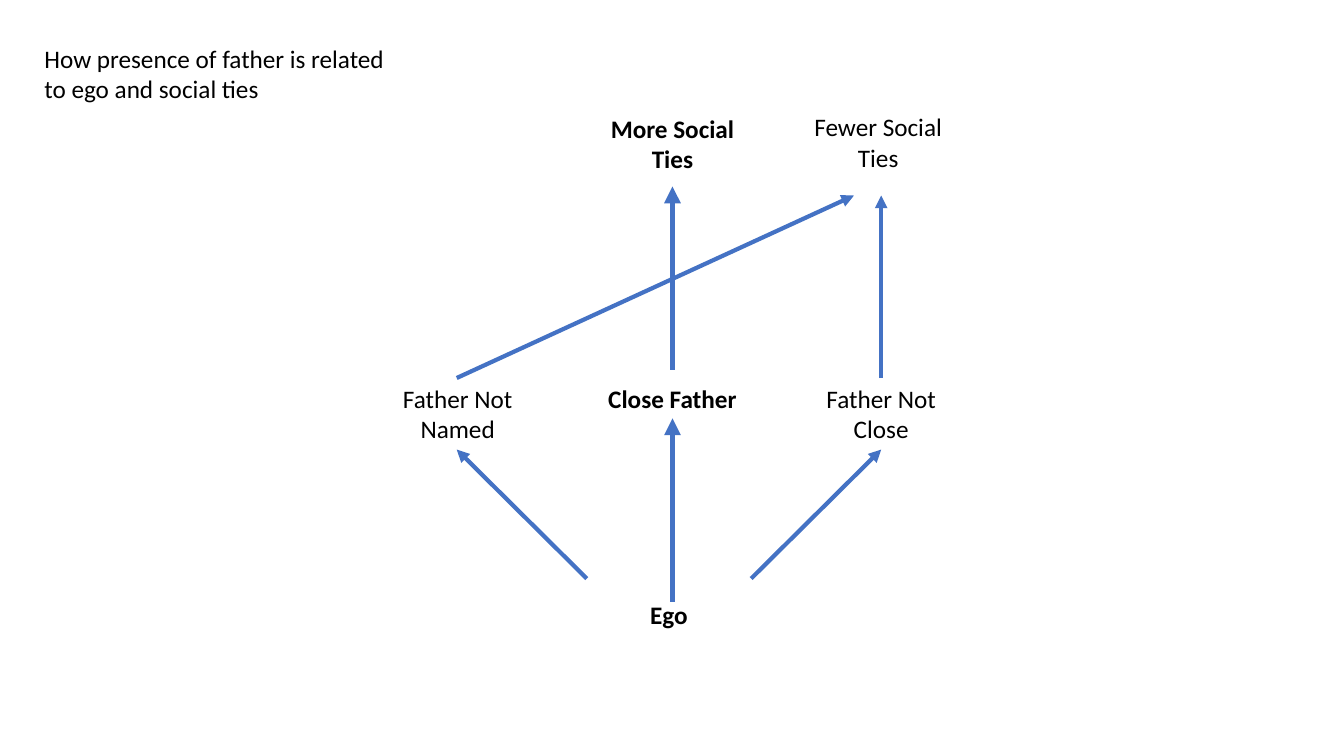
"""Build a slide on how a father's presence relates ego to social ties."""
from lxml import etree
from pptx import Presentation
from pptx.dml.color import RGBColor
from pptx.enum.shapes import MSO_CONNECTOR
from pptx.enum.text import MSO_ANCHOR, MSO_AUTO_SIZE, PP_ALIGN
from pptx.oxml.ns import qn
from pptx.util import Inches, Pt

LINE = MSO_CONNECTOR.STRAIGHT
TOP = MSO_ANCHOR.TOP
FIXED = MSO_AUTO_SIZE.NONE
LEFT, CENTER = PP_ALIGN.LEFT, PP_ALIGN.CENTER
BLACK, BLUE = "000000", "4472C4"


def color(code):
    return RGBColor.from_string(code)


def write(shape, text, box, align, bold=False):
    shape.left, shape.top, shape.width, shape.height = map(Inches, box)
    frame = shape.text_frame
    frame.text = text
    frame.word_wrap = True
    frame.auto_size = FIXED
    frame.vertical_anchor = TOP
    para = frame.paragraphs[0]
    para.alignment = align
    font = para.runs[0].font
    font.name, font.size, font.bold = "Calibri", Pt(18), bold
    font.color.rgb = color(BLACK)


deck = Presentation()
deck.slide_width, deck.slide_height = Inches(13.33), Inches(7.5)
slide = deck.slides.add_slide(deck.slide_layouts[5])
shapes = slide.shapes

title = "How presence of father is related to ego and social ties"
write(shapes.title, title, (0.34, 0.38, 3.76, 0.71), LEFT)

labels = [
    ("More Social Ties", 5.79, 1.07, 1.76, 0.71, CENTER, True),
    ("Fewer Social Ties", 7.83, 1.06, 1.76, 0.71, CENTER, False),
    ("Father Not Named", 3.66, 3.75, 1.76, 0.71, CENTER, False),
    ("Close Father", 5.79, 3.75, 1.76, 0.4, CENTER, True),
    ("Father Not Close", 7.86, 3.75, 1.76, 0.71, CENTER, False),
    ("Ego", 6.35, 5.9, 0.63, 0.4, LEFT, True),
]
for text, *box, align, bold in labels:
    label = shapes.add_textbox(0, 0, 0, 0)
    write(label, text, box, align, bold)

arrows = [
    (5.82, 5.74, 4.53, 4.46, 3),
    (6.67, 5.97, 6.67, 4.15, 4),
    (7.45, 5.74, 8.74, 4.46, 3),
    (6.67, 3.67, 6.67, 1.85, 4),
    (8.74, 3.75, 8.74, 1.94, 3),
    (4.53, 3.75, 8.47, 1.94, 3),
]
for *ends, width in arrows:
    arrow = shapes.add_connector(LINE, *map(Inches, ends))
    arrow.line.color.rgb = color(BLUE)
    arrow.line.width = Pt(width)
    props = arrow.element.spPr
    etree.SubElement(props.find(qn("a:ln")), qn("a:tailEnd"), type="triangle")
    etree.SubElement(props, qn("a:effectLst"))

deck.save("out.pptx")
